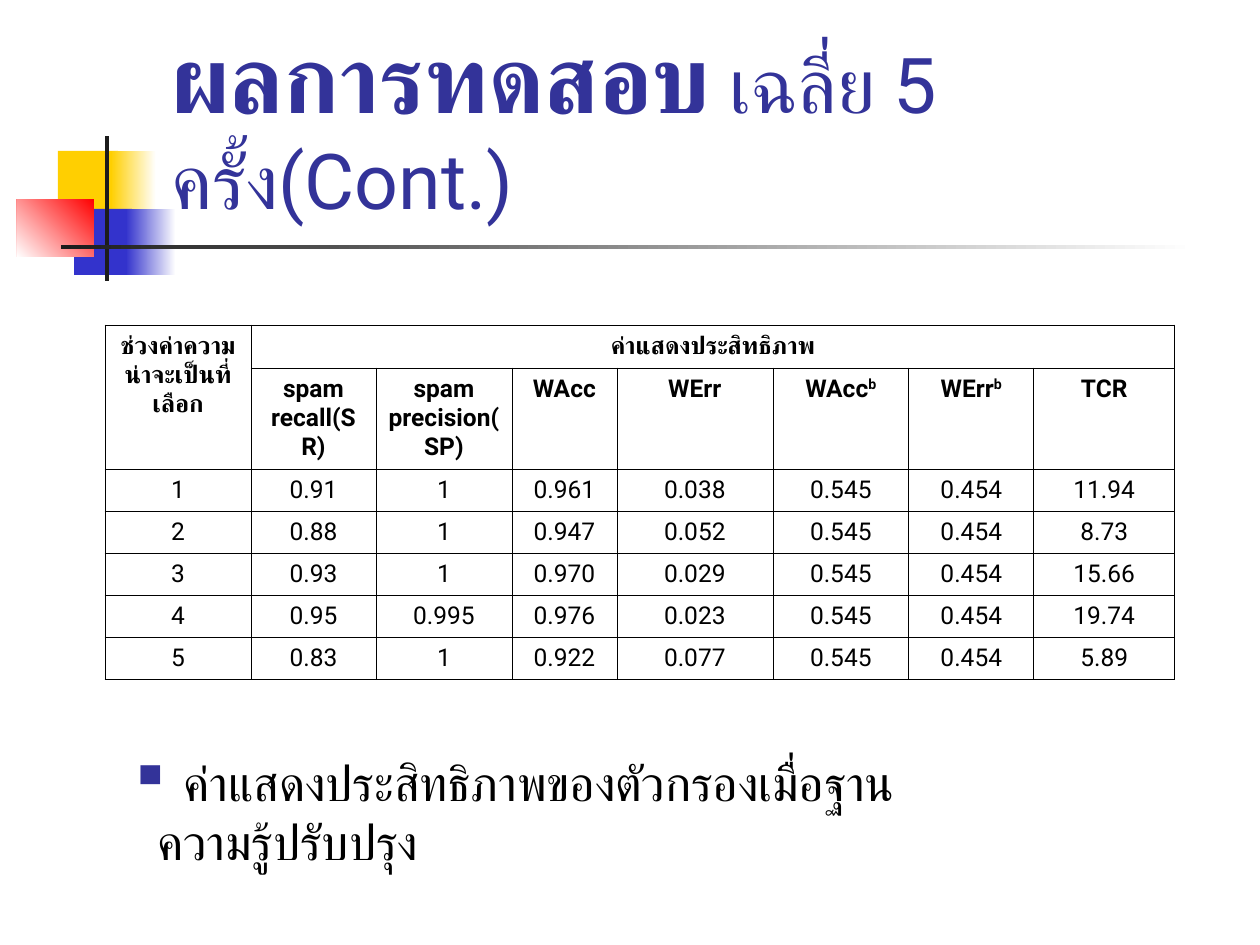
from dataclasses import dataclass
from lxml.etree import SubElement
from pptx import Presentation
from pptx.dml.color import RGBColor
from pptx.enum.shapes import MSO_SHAPE
from pptx.enum.text import MSO_ANCHOR, PP_ALIGN
from pptx.oxml import parse_xml
from pptx.oxml.ns import nsdecls, qn
from pptx.util import Emu, Pt


@dataclass(frozen=True)
class Theme:
    white: str = "FFFFFF"
    black: str = "000000"
    ink: str = "1C1C1C"
    gold: str = "FFCF01"
    blue: str = "3333CC"
    red: str = "FF0000"
    navy: str = "333399"
    thai: str = "Karla"
    sans: str = "Roboto"
    big: int = 54
    head: int = 44
    body: int = 28
    cell: int = 14
    rule: float = 0.45


T = Theme()

# Content: title runs as text, size, font, bold
TITLE = [
    ("ผลการทดสอบ", T.big, T.thai, True),
    (" เฉลี่ย ", T.head, T.thai, False),
    ("5 ", T.head, T.sans, False),
    ("ครั้ง", T.head, T.thai, False),
    ("(Cont.)", T.head, T.sans, False),
]
NOTE = " ค่าแสดงประสิทธิภาพของตัวกรองเมื่อฐานความรู้ปรับปรุง"
SIDE = "ช่วงค่าความน่าจะเป็นที่เลือก"
GROUP = "ค่าแสดงประสิทธิภาพ"
# A caret marks the superscript part
HEADS = ["spam recall(SR)", "spam\vprecision(SP)", "WAcc", "WErr",
         "WAcc^b", "WErr^b", "TCR"]
DATA = [
    ("1", "0.91", "1", "0.961", "0.038", "0.545", "0.454", "11.94"),
    ("2", "0.88", "1", "0.947", "0.052", "0.545", "0.454", "8.73"),
    ("3", "0.93", "1", "0.970", "0.029", "0.545", "0.454", "15.66"),
    ("4", "0.95", "0.995", "0.976", "0.023", "0.545", "0.454", "19.74"),
    ("5", "0.83", "1", "0.922", "0.077", "0.545", "0.454", "5.89"),
]

# Places in px: left, top, width, height
# Decoration: place, first colour, last colour, angle
DECOR = [
    ((58, 151, 60, 66), T.gold, None, 0),
    ((111, 151, 45, 66), T.white, T.gold, 180),
    ((74, 209, 58, 66), T.blue, None, 0),
    ((126, 209, 50, 66), T.white, T.blue, 180),
    ((17, 199, 77, 58), T.red, T.white, 225),
    ((105, 136, 4, 145), T.ink, None, 0),
    ((61, 245, 1134, 4), T.white, T.ink, 180),
]
TITLE_BOX = (159, 29, 1074, 202)
NOTE_BOX = (116, 746, 882, 131)
GRID_AT = (105, 325)
COLS = [146, 125, 136, 105, 156, 136, 125, 141]
ROWS = [43, 101] + [42] * len(DATA)
HANG = 29


def px(n):
    return Emu(round(n * 914400 / 126))


def rgb(code):
    return RGBColor.from_string(code)


def style(run, size, face, color, bold=False):
    font = run.font
    font.size, font.name, font.bold = Pt(size), face, bold
    font.color.rgb = rgb(color)
    # Thai text takes the complex-script face
    SubElement(run._r.get_or_add_rPr(), qn("a:cs")).set("typeface", face)


def block(slide, place, first, last, angle):
    shape = slide.shapes.add_shape(MSO_SHAPE.RECTANGLE, *map(px, place))
    shape.shadow.inherit = False
    shape.line.fill.background()
    if last is None:
        shape.fill.solid()
        shape.fill.fore_color.rgb = rgb(first)
        return
    shape.fill.gradient()
    shape.fill.gradient_angle = angle
    for stop, code in zip(shape.fill.gradient_stops, (first, last)):
        stop.color.rgb = rgb(code)


def box(slide, place):
    frame = slide.shapes.add_textbox(*map(px, place)).text_frame
    frame.word_wrap = True
    return frame


def bullet(para):
    props = para._p.get_or_add_pPr()
    props.set("marL", str(px(HANG)))
    props.set("indent", str(-px(HANG)))
    color = SubElement(props, qn("a:buClr"))
    SubElement(color, qn("a:srgbClr")).set("val", T.navy)
    SubElement(props, qn("a:buSzPct")).set("val", "120000")
    SubElement(props, qn("a:buChar")).set("char", "▪")


def edge(cell):
    props = cell._tc.get_or_add_tcPr()
    for i, side in enumerate("LRTB"):
        props.insert(i, parse_xml(
            f'<a:ln{side} {nsdecls("a")} w="{Pt(T.rule)}"><a:solidFill>'
            f'<a:srgbClr val="{T.black}"/></a:solidFill></a:ln{side}>'))


def fill(cell, text, bold):
    para = cell.text_frame.paragraphs[0]
    main, _, sup = text.partition("^")
    para.text = main
    para.alignment = PP_ALIGN.CENTER
    if sup:
        run = para.add_run()
        run.text = sup
        run._r.get_or_add_rPr().set("baseline", "30000")
    for run in para.runs:
        style(run, T.cell, T.sans, T.black, bold)


def grid(slide):
    size = (sum(COLS), sum(ROWS))
    table = slide.shapes.add_table(
        len(ROWS), len(COLS), *map(px, GRID_AT + size)).table
    table.first_row = table.horz_banding = False
    for col, width in zip(table.columns, COLS):
        col.width = px(width)
    for row, height in zip(table.rows, ROWS):
        row.height = px(height)
    for cell in table.iter_cells():
        cell.fill.background()
        edge(cell)
    table.cell(0, 0).merge(table.cell(1, 0))
    table.cell(0, 1).merge(table.cell(0, len(COLS) - 1))
    lines = [(SIDE, GROUP), ("", *HEADS), *DATA]
    for r, line in enumerate(lines):
        for c, text in enumerate(line):
            if text:
                fill(table.cell(r, c), text, r < 2)


def main():
    deck = Presentation()
    deck.slide_width, deck.slide_height = px(1260), px(945)
    slide = deck.slides.add_slide(deck.slide_layouts[6])

    # Decoration
    for item in DECOR:
        block(slide, *item)

    # Title
    frame = box(slide, TITLE_BOX)
    frame.vertical_anchor = MSO_ANCHOR.BOTTOM
    for text, size, face, bold in TITLE:
        run = frame.paragraphs[0].add_run()
        run.text = text
        style(run, size, face, T.navy, bold)

    # Note
    para = box(slide, NOTE_BOX).paragraphs[0]
    para.text = NOTE
    bullet(para)
    style(para.runs[0], T.body, T.thai, T.black)

    # Results table
    grid(slide)
    deck.save("out.pptx")


if __name__ == "__main__":
    main()
